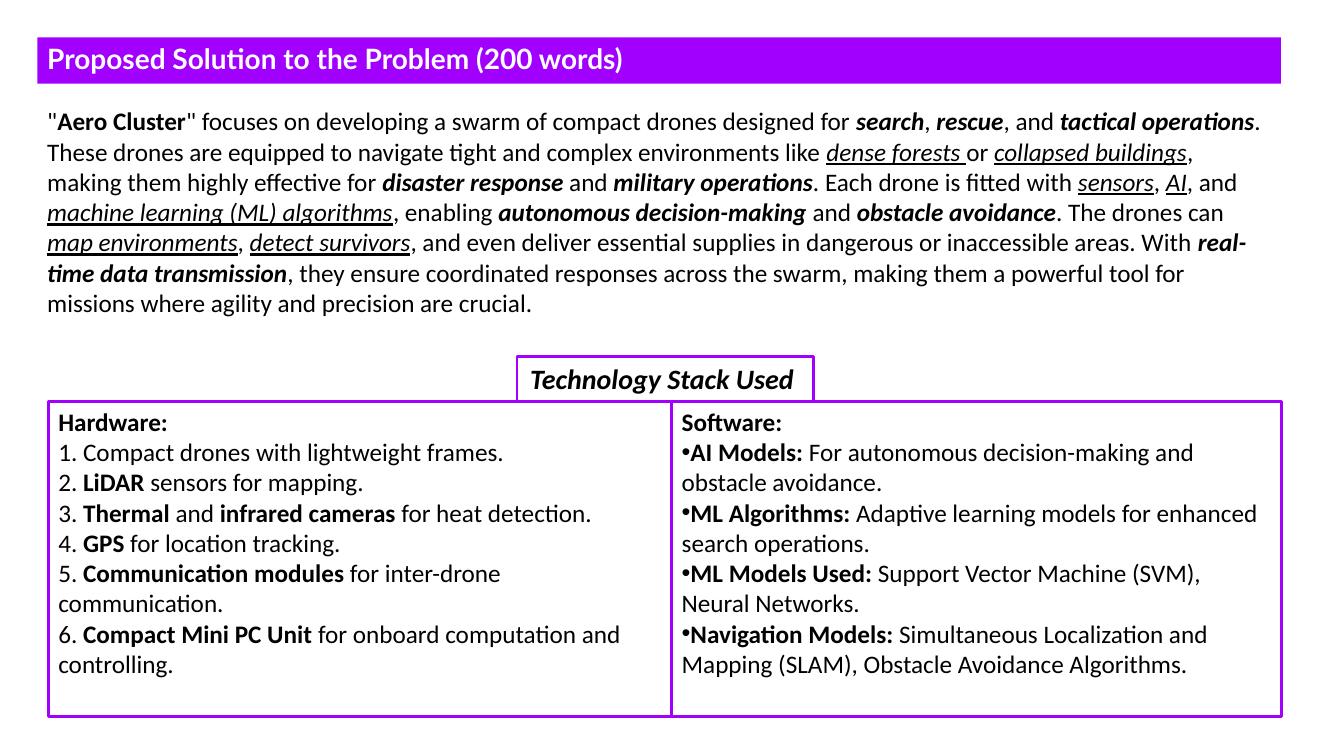
from lxml import etree
from pptx import Presentation
from pptx import util as u
from pptx.dml.color import RGBColor
from pptx.enum import shapes, text
from pptx.oxml.ns import qn

COLORS = {"purple": "A100FF", "white": "FFFFFF", "black": "000000"}

# A "|" separates runs; a leading mark sets the run's style (bold, italic, underline)
MARKS = {"*": (True, False, False), "~": (True, True, False), "_": (False, True, True)}
PLAIN = (False, False, False)

# Wording
TITLE = "*Proposed Solution to the Problem (200 words)"
SUMMARY = (
    '"|*Aero Cluster|" focuses on developing a swarm of compact drones designed for '
    "|~search|, |~rescue|, and |~tactical operations|. These drones are equipped to "
    "navigate tight and complex environments like |_dense forests |or "
    "|_collapsed buildings|, making them highly effective for |~disaster response |and "
    "|~military operations|. Each drone is fitted with |_sensors|, |_AI|, and "
    "|_machine learning (ML) algorithms|, enabling |~autonomous decision-making |and "
    "|~obstacle avoidance|. The drones can |_map environments|, |_detect survivors|, "
    "and even deliver essential supplies in dangerous or inaccessible areas. With "
    "|~real-time data transmission|, they ensure coordinated responses across the swarm, "
    "making them a powerful tool for missions where agility and precision are crucial."
)
HARDWARE = [
    "*Hardware:",
    " Compact drones with lightweight frames.",
    " |*LiDAR| sensors for mapping.",
    " |*Thermal |and |*infrared cameras |for heat detection.",
    " |*GPS| for location tracking.",
    " |*Communication modules| for inter-drone communication.",
    " |*Compact Mini PC Unit |for onboard computation and controlling.",
]
SOFTWARE = [
    "*Software:",
    "*AI Models:| For autonomous decision-making and obstacle avoidance.",
    "*ML Algorithms:| Adaptive learning models for enhanced search operations.",
    "*ML Models Used:| Support Vector Machine (SVM), Neural Networks.",
    "*Navigation Models:| Simultaneous Localization and Mapping (SLAM), "
    "Obstacle Avoidance Algorithms.",
]


class SlideBuilder:
    def __init__(self, slide, font="Calibri", size=18):
        self.slide, self.font, self.size = slide, font, size

    def color(self, name):
        return RGBColor.from_string(COLORS[name])

    def rect(self, box, fill=None, line=None):
        sp = self.slide.shapes.add_shape(
            shapes.MSO_SHAPE.RECTANGLE, *[u.Cm(v) for v in box])
        sp.shadow.inherit = False
        if fill:
            sp.fill.solid()
            sp.fill.fore_color.rgb = self.color(fill)
        else:
            sp.fill.background()
        if line:
            sp.line.color.rgb = self.color(line)
            sp.line.width = u.Pt(2)
        else:
            sp.line.fill.background()
        return sp

    def textbox(self, box):
        return self.slide.shapes.add_textbox(*[u.Cm(v) for v in box])

    def add_text(self, sp, lines, bullet=None, size=None, font=None, color="black",
                 align=text.PP_ALIGN.LEFT, anchor=text.MSO_ANCHOR.TOP):
        tf = sp.text_frame
        tf.word_wrap = True
        tf.vertical_anchor = anchor
        for i, line in enumerate(lines):
            p = tf.paragraphs[0] if i == 0 else tf.add_paragraph()
            p.alignment = align
            if bullet and i > 0:
                self.bullet(p, bullet)
            for part in line.split("|"):
                r = p.add_run()
                r.text = part[1:] if part[0] in MARKS else part
                f = r.font
                f.bold, f.italic, f.underline = MARKS.get(part[0], PLAIN)
                f.name, f.size = font or self.font, u.Pt(size or self.size)
                f.color.rgb = self.color(color)

    def bullet(self, p, kind):
        pPr = p._p.get_or_add_pPr()
        pPr.set("marL", "0")
        pPr.set("indent", "0")
        if kind == "number":
            etree.SubElement(pPr, qn("a:buFont"), typeface="+mj-lt")
            etree.SubElement(pPr, qn("a:buAutoNum"), type="arabicPeriod")
        else:
            etree.SubElement(pPr, qn("a:buFont"), typeface="Arial")
            etree.SubElement(pPr, qn("a:buChar"), char=kind)


def main():
    prs = Presentation()
    prs.slide_width, prs.slide_height = u.Cm(33.87), u.Cm(19.05)
    s = SlideBuilder(prs.slides.add_slide(prs.slide_layouts[6]))
    left, width = 0.94, 31.34

    # Title bar
    bar = s.rect((left, 0.94, width, 1.17), fill="purple")
    s.add_text(bar, [TITLE], size=20, font="Lato", color="white",
               anchor=text.MSO_ANCHOR.MIDDLE)
    bar.text_frame.paragraphs[0].line_spacing = 0.9

    # Summary
    s.add_text(s.textbox((left, 2.54, width, 5.64)), [SUMMARY])

    # Technology panels, side by side
    x, top, height = 1.22, 10.11, 7.95
    for panel_width, lines, kind in ((15.71, HARDWARE, "number"), (15.37, SOFTWARE, "•")):
        panel = s.rect((x, top, panel_width, height), line="purple")
        s.add_text(panel, lines, bullet=kind)
        x += panel_width

    # Tab on top of the panels
    tab_height = 1.12
    tab = s.rect((13.03, top - tab_height, 7.47, tab_height), line="purple")
    s.add_text(tab, ["~Technology Stack Used "], size=20, align=text.PP_ALIGN.CENTER)

    prs.save("out.pptx")


if __name__ == "__main__":
    main()
